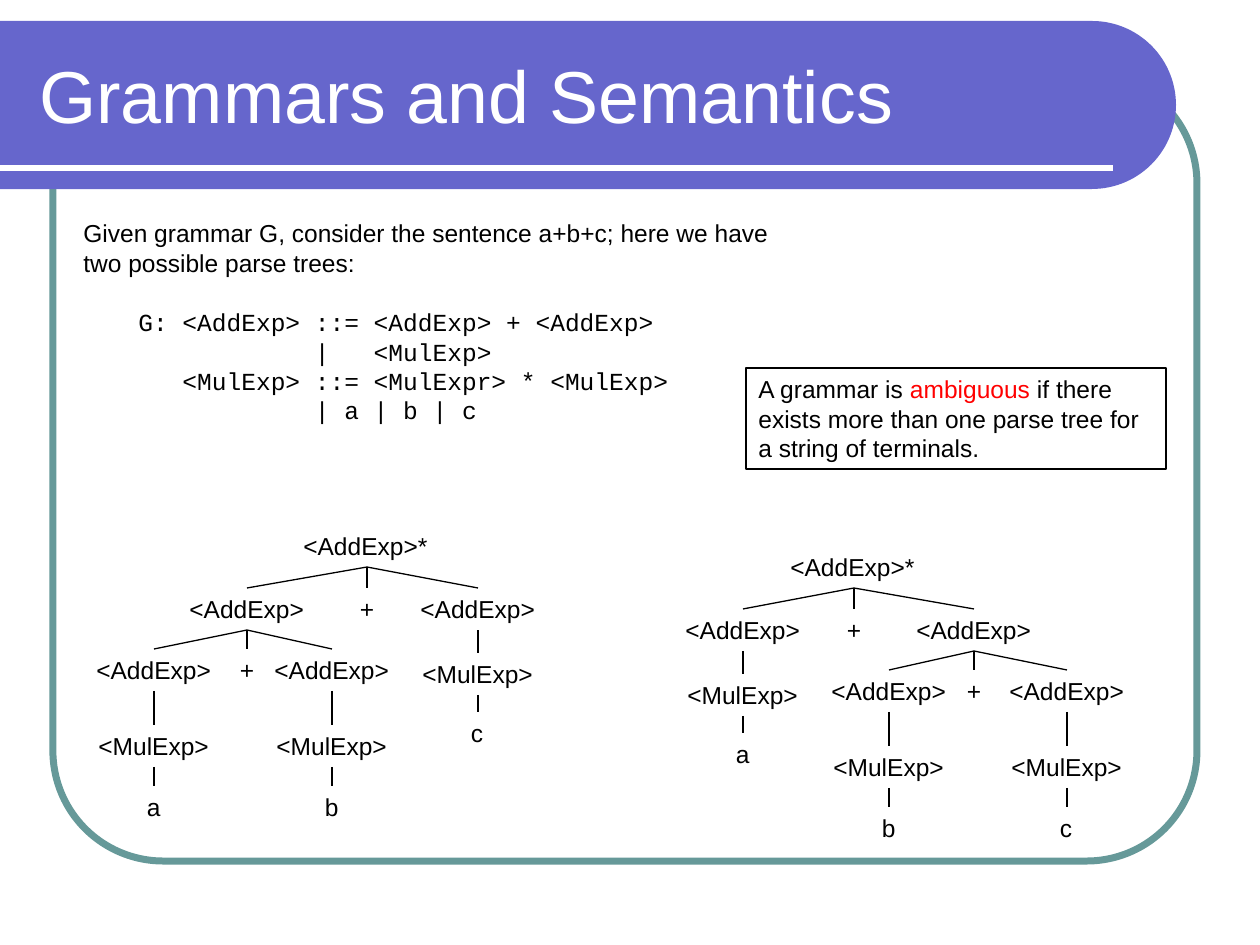
import math
import pptx
import pptx.util
import pptx.dml.color
import pptx.enum.shapes
import pptx.enum.text
import pptx.oxml

SCALE = 914400 / 126  # EMU in one px
COLORS = {"band": "6666CC", "frame": "669999", "paper": "FFFFFF",
          "ink": "000000", "alert": "FF0000"}
SANS, MONO = "Arial", "Courier New"
KINDS = pptx.enum.shapes.MSO_SHAPE
ANCHOR = pptx.enum.text.MSO_ANCHOR
FIT = pptx.enum.text.MSO_AUTO_SIZE
LEFT = pptx.enum.text.PP_ALIGN.LEFT
LABEL = {"word_wrap": False, "auto_size": FIT.SHAPE_TO_FIT_TEXT,
         "vertical_anchor": ANCHOR.TOP}

# Tree node: key -> (text, centre x, top, parent key); digits index the leaves
NODES = {
    "root": ("<AddExp>*", 283, 0, None),
    "sum": ("<AddExp>", 163, 63, "root"),
    "plus": ("+", 283, 63, "root"),
    "side": ("<AddExp>", 394, 63, "root"),
    "out": ("<AddExp>", 70, 124, "sum"),
    "add": ("+", 163, 124, "sum"),
    "in": ("<AddExp>", 248, 124, "sum"),
    "mul": ("<MulExp>", 394, 128, "side"),
    "outmul": ("<MulExp>", 70, 200, "out"),
    "inmul": ("<MulExp>", 248, 200, "in"),
    "outleaf": (0, 70, 261, "outmul"),
    "inleaf": (1, 248, 261, "inmul"),
    "leaf": (2, 394, 187, "mul"),
}
WIDTHS = {"<AddExp>*": 152, "<AddExp>": 140, "<MulExp>": 136}


def px(*vals):
    return [round(v * SCALE) for v in vals]


def rgb(name):
    return pptx.dml.color.RGBColor.from_string(COLORS[name])


def put(obj, vals):
    for key, val in vals.items():
        setattr(obj, key, val)


def write(shape, lines, size=14, face=SANS, form=LABEL):
    """Each line is a list of (text, colour) runs."""
    frame = shape.text_frame
    put(frame, form)
    for num, line in enumerate(lines):
        para = frame.add_paragraph() if num else frame.paragraphs[0]
        para.alignment = LEFT
        for text, color in line:
            run = para.add_run()
            run.text = text
            put(run.font, {"name": face, "size": pptx.util.Pt(size)})
            run.font.color.rgb = rgb(color)


def label(shapes, box, lines, color="ink", **style):
    shape = shapes.add_textbox(*px(*box))
    write(shape, [[(line, color)] for line in lines], **style)
    return shape


def stroke(shape, color, width):
    shape.line.color.rgb = rgb(color)
    shape.line.width = pptx.util.Pt(width)


def wire(shapes, ends, color="ink", width=0.75):
    line = shapes.add_connector(
        pptx.enum.shapes.MSO_CONNECTOR.STRAIGHT, *px(*ends))
    stroke(line, color, width)
    props = line._element.spPr
    props.append(pptx.oxml.parse_xml(
        '<a:effectLst xmlns:a='
        '"http://schemas.openxmlformats.org/drawingml/2006/main"/>'))
    return line


def panel(shapes, kind, box, color, width):
    shape = shapes.add_shape(kind, *px(*box))
    shape.shadow.inherit = False
    shape.fill.background()
    stroke(shape, color, width)
    return shape


def header(shapes, x, y, w, h, title):
    # Band with a half-round right end
    rad = h / 2
    turns = [math.radians(deg) for deg in range(-90, 91, 3)]
    arc = [px(x + w - rad + rad * math.cos(t), y + rad + rad * math.sin(t))
           for t in turns]
    pen = shapes.build_freeform(*px(x, y))
    pen.add_line_segments(arc + [px(x, y + h)], close=True)
    band = pen.convert_to_shape()
    band.shadow.inherit = False
    band.fill.solid()
    band.fill.fore_color.rgb = rgb("band")
    band.line.fill.background()
    # Rule and title
    wire(shapes, (x, y + 147, x + w - 63, y + 147), "paper", 3)
    form = {"word_wrap": True, "vertical_anchor": ANCHOR.MIDDLE}
    label(shapes, (x + 27, y + 10, 1105, 126), [title], "paper",
          size=42, form=form)


def intro(shapes, x, y):
    label(shapes, (x, y, 717, 72), [
        "Given grammar G, consider the sentence a+b+c; here we have",
        "two possible parse trees:"])
    label(shapes, (x + 55, y + 89, 556, 131), [
        "G: <AddExp> ::= <AddExp> + <AddExp>",
        "            |   <MulExp>",
        "   <MulExp> ::= <MulExpr> * <MulExp>",
        "            | a | b | c"], face=MONO)


def note(shapes, *box):
    shape = panel(shapes, KINDS.RECTANGLE, box, "ink", 0.75)
    write(shape, [[
        ("A grammar is ", "ink"), ("ambiguous ", "alert"),
        ("if there exists more than one parse tree for a string of terminals.",
         "ink")]], form={**LABEL, "word_wrap": True})


def tree(shapes, x, y, w, leaves, flip=False):
    group = shapes.add_group_shape().shapes
    made = {}
    for key, (text, mid, top, root) in NODES.items():
        text = leaves[text] if isinstance(text, int) else text
        mid = w - mid if flip else mid
        wide = WIDTHS.get(text, 39)
        made[key] = label(group, (x + mid - wide / 2, y + top, wide, 42),
                          [text])
        if root:
            line = wire(group, (x, y, x, y))
            line.begin_connect(made[root], 2)
            line.end_connect(made[key], 0)


def main():
    deck = pptx.Presentation()
    deck.slide_width, deck.slide_height = px(1260, 945)
    shapes = deck.slides.add_slide(deck.slide_layouts[6]).shapes
    # Backdrop
    frame = panel(shapes, KINDS.ROUNDED_RECTANGLE, (53, 73, 1144, 788),
                  "frame", 4)
    frame.adjustments[0] = 0.14
    header(shapes, 0, 21, 1176, 168, "Grammars and Semantics")
    # Grammar and definition
    intro(shapes, 71, 212)
    note(shapes, 746, 368, 420, 101)
    # Mirrored parse trees
    tree(shapes, 673, 546, 464, "cba", flip=True)
    tree(shapes, 84, 525, 464, "abc")
    deck.save("out.pptx")


if __name__ == "__main__":
    main()
